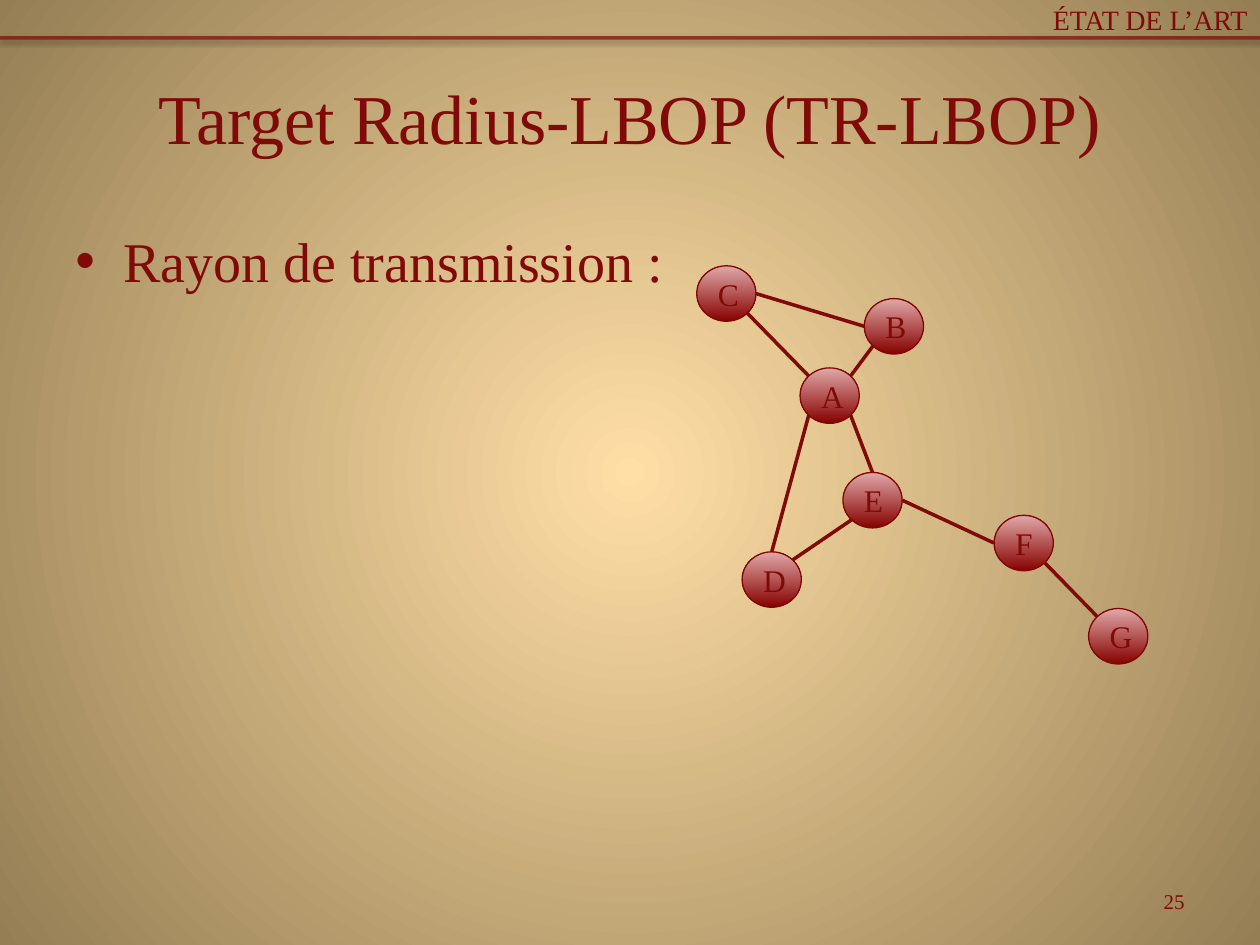
from math import cos, radians, sin
from typing import NamedTuple

from lxml import etree
from pptx import Presentation
from pptx.dml.color import RGBColor
from pptx.enum.shapes import MSO_CONNECTOR, MSO_SHAPE
from pptx.enum.text import MSO_ANCHOR, PP_ALIGN
from pptx.oxml.ns import qn
from pptx.util import Inches, Pt

LEFT, CENTER, RIGHT = PP_ALIGN.LEFT, PP_ALIGN.CENTER, PP_ALIGN.RIGHT
TOP, MIDDLE = MSO_ANCHOR.TOP, MSO_ANCHOR.MIDDLE
OVAL, STRAIGHT = MSO_SHAPE.OVAL, MSO_CONNECTOR.STRAIGHT

FONT = "Times New Roman"
COLORS = {
    "text": "800A07",
    "node_line": "800603",
    "node_bottom": "860200",
    "node_top": "E0A8A8",
    "bg_center": "FFDFA6",
    "bg_edge": "957E54",
    "shadow": "000000",
}
NODE_W, NODE_H = 0.47, 0.44

# Attachment points on a node, in degrees clockwise from the right
E, SE, SW, W, NW, N, NE = 0, 45, 135, 180, 225, 270, 315


class Node(NamedTuple):
    x: float
    y: float

    def point(self, angle: int) -> tuple[float, float]:
        a = radians(angle)
        return (self.x + NODE_W / 2 * (1 + cos(a)),
                self.y + NODE_H / 2 * (1 + sin(a)))


class Edge(NamedTuple):
    start: str
    start_angle: int
    end: str
    end_angle: int


NODES = {
    "A": Node(6.35, 2.92),
    "B": Node(6.86, 2.37),
    "C": Node(5.53, 2.11),
    "D": Node(5.89, 4.38),
    "E": Node(6.69, 3.75),
    "F": Node(7.89, 4.09),
    "G": Node(8.64, 4.83),
}
EDGES = [
    Edge("C", SE, "A", NW),
    Edge("A", NE, "B", SW),
    Edge("A", SE, "E", N),
    Edge("A", SW, "D", N),
    Edge("D", NE, "E", SW),
    Edge("E", E, "F", W),
    Edge("B", W, "C", E),
    Edge("F", SE, "G", NW),
]


def rgb(name: str) -> RGBColor:
    return RGBColor.from_string(COLORS[name])


def child(parent, tag: str, **attrs):
    return etree.SubElement(parent, qn(tag), {k: str(v) for k, v in attrs.items()})


def set_gradient(fill, first: str, last: str) -> None:
    fill.gradient()
    for stop, name in zip(fill.gradient_stops, (first, last)):
        stop.color.rgb = rgb(name)


def set_background(s) -> None:
    set_gradient(s.background.fill, "bg_center", "bg_edge")
    grad = s.background._cSld.find(".//" + qn("a:gradFill"))
    for lin in grad.findall(qn("a:lin")):
        grad.remove(lin)
    circle = child(grad, "a:path", path="circle")
    child(circle, "a:fillToRect", l=50000, t=50000, r=50000, b=50000)


def write(sp, text: str, *, size: float, align=CENTER, anchor=MIDDLE,
          before: float = 0, bullet: bool = False) -> None:
    tf = sp.text_frame
    tf.word_wrap = True
    tf.vertical_anchor = anchor
    p = tf.paragraphs[0]
    p.alignment = align
    p.space_before = Pt(before)
    if bullet:
        ppr = p._p.get_or_add_pPr()
        ppr.set("marL", str(Inches(0.38)))
        ppr.set("indent", str(Inches(-0.38)))
        child(ppr, "a:buFont", typeface="Arial")
        child(ppr, "a:buChar", char="•")
    r = p.add_run()
    r.text = text
    r.font.name = FONT
    r.font.size = Pt(size)
    r.font.color.rgb = rgb("text")


def add_text(s, text: str, x: float, y: float, w: float, h: float, **fmt) -> None:
    write(s.shapes.add_textbox(Inches(x), Inches(y), Inches(w), Inches(h)), text, **fmt)


def add_line(s, start: tuple[float, float], end: tuple[float, float]):
    """Draw a line and return it with its empty effect list."""
    line = s.shapes.add_connector(STRAIGHT, *map(Inches, start + end))
    line.line.color.rgb = rgb("text")
    line.line.width = Pt(2)
    return line, child(line._element.spPr, "a:effectLst")


def add_header_rule(s) -> None:
    line, effects = add_line(s, (0, 0.3), (10, 0.3))
    color = line._element.spPr.find(".//" + qn("a:srgbClr"))
    child(color, "a:alpha", val=70000)
    shadow = child(effects, "a:outerShdw", blurRad=Pt(3.1), dist=Pt(1.6),
                   dir=5400000, rotWithShape=0)
    child(child(shadow, "a:srgbClr", val=COLORS["shadow"]), "a:alpha", val=38000)


def add_node(s, name: str, node: Node) -> None:
    sp = s.shapes.add_shape(OVAL, Inches(node.x), Inches(node.y),
                            Inches(NODE_W), Inches(NODE_H))
    sp.shadow.inherit = False
    set_gradient(sp.fill, "node_bottom", "node_top")
    sp.fill.gradient_angle = 90
    sp.line.color.rgb = rgb("node_line")
    sp.line.width = Pt(0.75)
    write(sp, name, size=18)


def main() -> None:
    prs = Presentation()
    prs.slide_width, prs.slide_height = Inches(10), Inches(7.5)
    s = prs.slides.add_slide(prs.slide_layouts[6])
    set_background(s)

    # Header, title, body and page number
    add_header_rule(s)
    add_text(s, "Target Radius-LBOP (TR-LBOP)", 0.5, 0.3, 9, 1.25, size=40)
    add_text(s, "Rayon de transmission :", 0.5, 1.75, 9, 4.95, size=32,
             align=LEFT, anchor=TOP, before=4, bullet=True)
    add_text(s, "25", 7.17, 6.95, 2.33, 0.4, size=12, align=RIGHT)
    add_text(s, "ÉTAT DE L’ART", 0, 0, 10, 0.3, size=16, align=RIGHT, before=2)

    # Network graph
    for name, node in NODES.items():
        add_node(s, name, node)
    for edge in EDGES:
        add_line(s, NODES[edge.start].point(edge.start_angle),
                 NODES[edge.end].point(edge.end_angle))

    prs.save("out.pptx")


if __name__ == "__main__":
    main()
